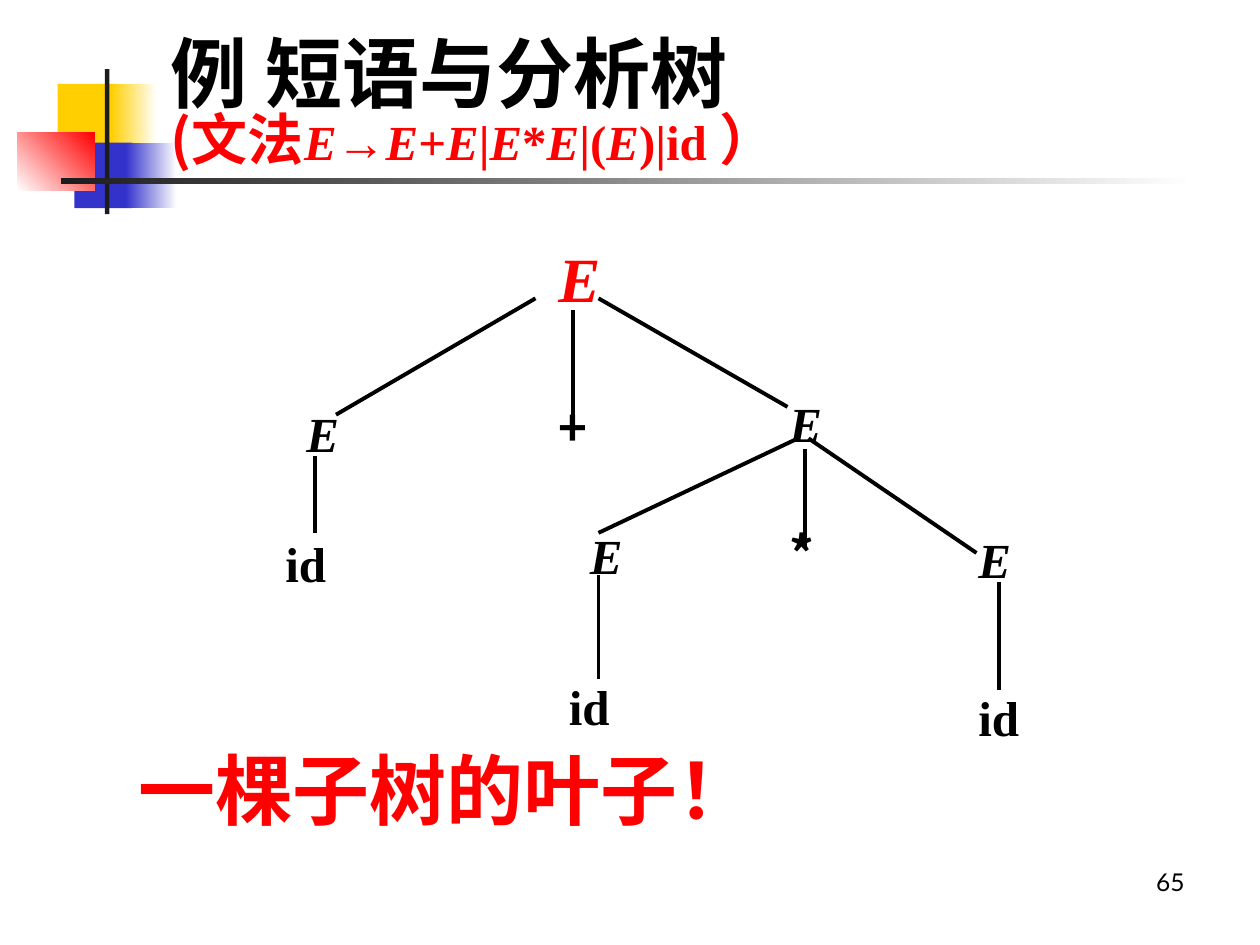
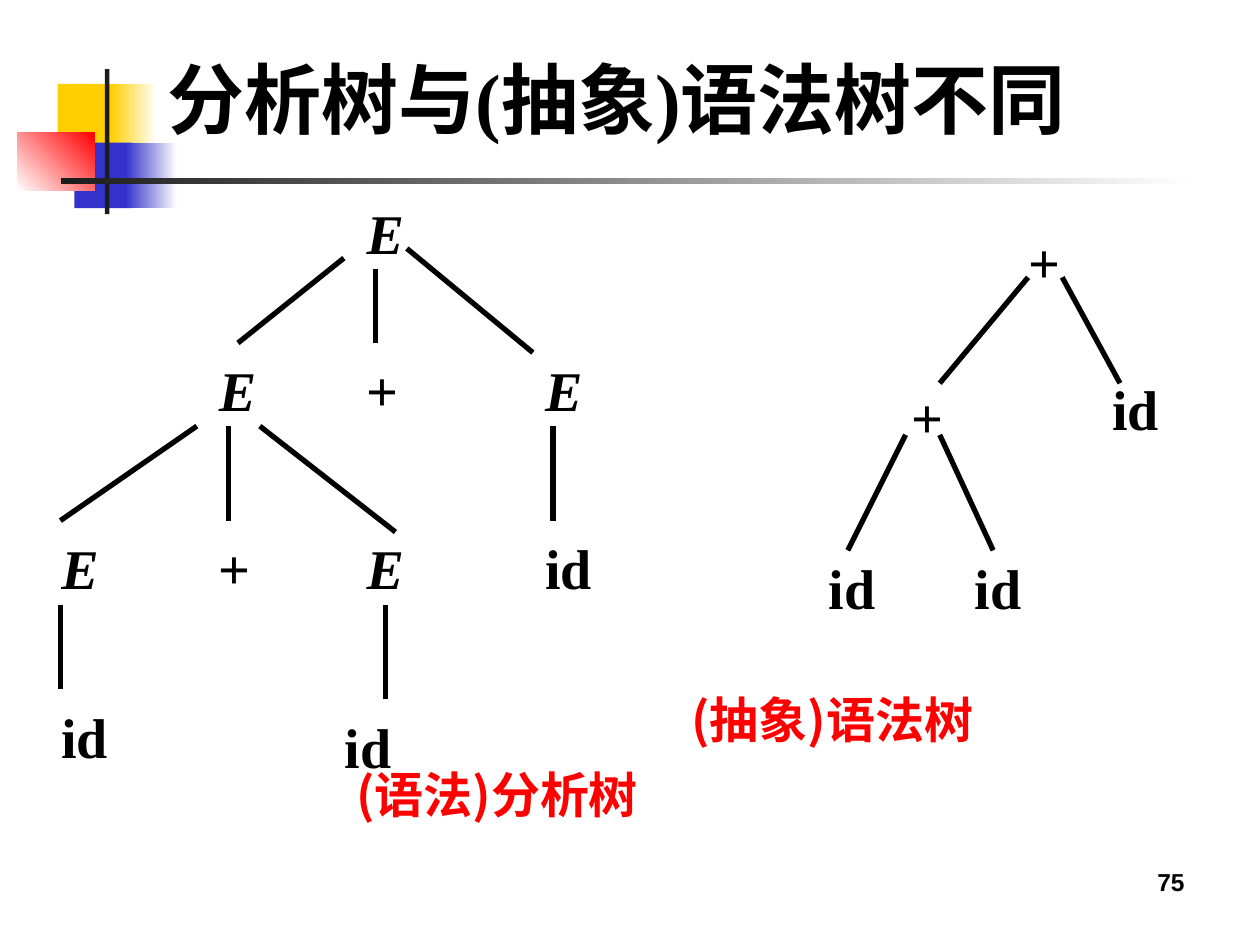
from dataclasses import dataclass
from typing import NamedTuple

from lxml.etree import SubElement
from pptx import Presentation
from pptx.dml.color import RGBColor as Rgb
from pptx.enum.shapes import MSO_CONNECTOR as Conn, MSO_SHAPE as Kind
from pptx.enum.text import MSO_ANCHOR as Anchor, PP_ALIGN as Align
from pptx.oxml.ns import qn
from pptx.util import Pt

HUES = {
    "black": "000000", "white": "FFFFFF", "red": "FF0000",
    "gold": "FFCF01", "blue": "3333CC", "ink": "1C1C1C",
}
TIMES, NOTO, LATO, ARIAL = "Times New Roman", "Noto Sans CJK SC", "Lato", "Arial"


class Box(NamedTuple):
    x: float
    y: float
    w: float
    h: float


class Node(NamedTuple):
    text: str
    x: float
    y: float


class Edge(NamedTuple):
    x1: float
    y1: float
    x2: float
    y2: float


class Run(NamedTuple):
    text: str
    size: float
    face: str = TIMES
    hue: str = "black"
    bold: bool = True
    slant: bool = False


@dataclass
class Band:
    box: Box
    hue: str
    end: str = ""
    turn: float = 0


@dataclass
class Tree:
    nodes: list[Node]
    edges: list[Edge]
    size: float
    line: float
    lead: float
    high: float
    wide: dict[int, float]
    sign: str = TIMES


BANDS = [
    Band(Box(33, 48, 34.5, 37.5), "gold"),
    Band(Box(63.5, 48, 26, 37.5), "gold", "white"),
    Band(Box(42.5, 81.5, 33, 37.5), "blue"),
    Band(Box(72, 81.5, 29, 37.5), "blue", "white"),
    Band(Box(10, 75.5, 44, 33.5), "white", "red", 45),
    Band(Box(60, 39.5, 2.5, 83), "ink"),
    Band(Box(35, 102, 648, 3), "ink", "white"),
]

PHRASE = Tree(
    [Node("E", 168, 220.5), Node("+", 312, 226), Node("E", 444, 214.5),
     Node("id", 156, 294.5), Node("E", 330, 290), Node("*", 444, 298),
     Node("E", 552, 292.5), Node("id", 318, 376.5), Node("id", 552, 382.5)],
    [Edge(192, 237, 306, 170.5), Edge(327.5, 244, 327.5, 177),
     Edge(450, 232.5, 342, 170.5), Edge(180, 304.5, 180, 260.5),
     Edge(342, 304.5, 456, 250.5), Edge(460, 256.5, 460, 312),
     Edge(462, 250.5, 558, 316), Edge(342, 328.5, 342, 388),
     Edge(571, 332.5, 571, 394.5)],
    size=28, line=2.25, lead=1.2, high=44, wide={1: 90, 2: 90}, sign=NOTO,
)

PARSE = Tree(
    [Node("E", 202.5, 106),
     Node("E", 118, 196), Node("+", 202.5, 196), Node("E", 304.5, 196),
     Node("E", 28, 297.5), Node("+", 118, 297.5), Node("E", 202.5, 297.5),
     Node("id", 304.5, 297.5), Node("id", 28, 394), Node("id", 190, 399.5)],
    [Edge(196.5, 147.5, 136, 196), Edge(214.5, 153.5, 214.5, 196),
     Edge(232.5, 142, 304.5, 201.5), Edge(112.5, 243.5, 34.5, 297.5),
     Edge(130.5, 243.5, 130.5, 297.5), Edge(148.5, 243.5, 226, 304),
     Edge(316, 243.5, 316, 297.5), Edge(34.5, 345.5, 34.5, 394),
     Edge(220.5, 345.5, 220.5, 399.5)],
    size=32, line=3, lead=1.1, high=48, wide={1: 36, 2: 60},
)

SYNTAX = Tree(
    [Node("+", 580.5, 122.5), Node("id", 628.5, 206.5), Node("+", 514, 211),
     Node("id", 466.5, 309), Node("id", 550, 309)],
    [Edge(587.5, 158.5, 537, 219), Edge(607, 158.5, 640, 219),
     Edge(517.5, 248.5, 484.5, 314.5), Edge(537, 248.5, 567.5, 314.5)],
    size=32, line=3, lead=1.1, high=49.5, wide={1: 90, 2: 90},
)


def tint(name: str) -> Rgb:
    return Rgb.from_string(HUES[name])


def draw_band(slide, band: Band) -> None:
    shape = slide.shapes.add_shape(Kind.RECTANGLE, *map(Pt, band.box))
    shape.shadow.inherit = False
    shape.line.fill.background()
    if not band.end:
        shape.fill.solid()
        shape.fill.fore_color.rgb = tint(band.hue)
        return
    shape.fill.gradient()
    shape.fill.gradient_angle = band.turn
    for stop, hue in zip(shape.fill.gradient_stops, (band.hue, band.end)):
        stop.color.rgb = tint(hue)


def draw_text(slide, box: Box, rows: list[list[Run]], lead: float = 1,
              align=Align.LEFT, anchor=Anchor.TOP) -> None:
    """Draw one paragraph; its rows are parted by line breaks."""
    frame = slide.shapes.add_textbox(*map(Pt, box)).text_frame
    frame.word_wrap = True
    frame.vertical_anchor = anchor
    para = frame.paragraphs[0]
    para.alignment = align
    para.line_spacing = lead
    for num, row in enumerate(rows):
        if num:
            para.add_line_break()
        for part in row:
            run = para.add_run()
            run.text = part.text
            look = {"name": part.face, "size": Pt(part.size),
                    "bold": part.bold, "italic": part.slant}
            for key, value in look.items():
                setattr(run.font, key, value)
            run.font.color.rgb = tint(part.hue)
            east = SubElement(run.font._element, qn("a:ea"))
            east.set("typeface", NOTO)


def draw_edge(slide, edge: Edge, width: float) -> None:
    line = slide.shapes.add_connector(Conn.STRAIGHT, *map(Pt, edge))
    line.line.width = Pt(width)
    line.line.color.rgb = tint("black")
    SubElement(line._element.spPr, qn("a:effectLst"))


def draw_tree(slide, tree: Tree) -> None:
    for edge in tree.edges:
        draw_edge(slide, edge, tree.line)
    for text, x, y in tree.nodes:
        face = tree.sign if text in "+*" else TIMES
        lead = 0.96 if face == NOTO else tree.lead
        box = Box(x, y, tree.wide[len(text)], tree.high)
        run = Run(text, tree.size, face, slant=text == "E")
        draw_text(slide, box, [[run]], lead)


def draw_label(slide, text: str, box: Box, size: float) -> None:
    draw_text(slide, box, [[Run(text, size, NOTO, "red")]], 0.96)


def add_slide(deck, box: Box, title: list[list[Run]], lead: float, page: Run):
    slide = deck.slides.add_slide(deck.slide_layouts[6])
    for band in BANDS:
        draw_band(slide, band)
    draw_text(slide, Box(516, 492, 168, 37.5), [[page]], align=Align.RIGHT)
    draw_text(slide, box, title, lead, anchor=Anchor.MIDDLE)
    return slide


def main() -> None:
    deck = Presentation()
    deck.slide_width, deck.slide_height = Pt(720), Pt(540)

    rule = [Run(sign, 28, hue="red", slant=sign == "E")
            for sign in ("E", "→", "E", "+", "E", "|", "E", "*", "E", "|(", "E", ")|id")]
    title = [[Run("例 短语与分析树", 44)],
             [Run("(文法", 32, NOTO, "red"), *rule, Run(" ）", 32, NOTO, "red")]]
    slide = add_slide(deck, Box(90.5, 13, 468, 96), title, 0.81,
                      Run("65", 14, LATO, bold=False))
    root = Run("E", 36, hue="red", slant=True)
    draw_text(slide, Box(312, 124.5, 90, 54.5), [[root]], PHRASE.lead)
    draw_tree(slide, PHRASE)
    draw_label(slide, "一棵子树的叶子！", Box(72, 424, 528, 65.5), 44)

    slide = add_slide(deck, Box(88.5, 20, 612, 72),
                      [[Run("分析树与(抽象)语法树不同", 44)]], 1,
                      Run("75", 14, ARIAL))
    draw_label(slide, "(语法)分析树", Box(196.5, 435.5, 192, 81.5), 28)
    draw_tree(slide, PARSE)
    draw_label(slide, "(抽象)语法树", Box(388, 392.5, 222, 44), 28)
    draw_tree(slide, SYNTAX)

    deck.save("out.pptx")


if __name__ == "__main__":
    main()
